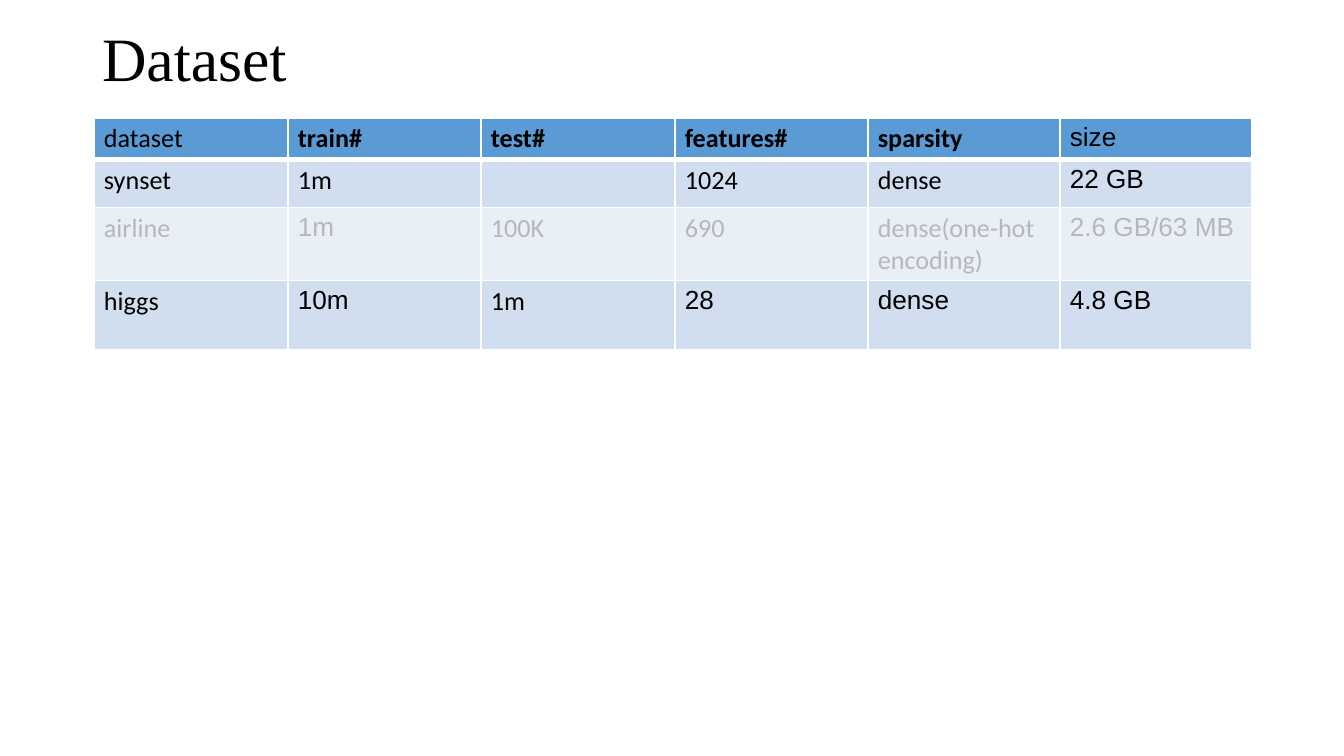
from lxml import etree
from pptx import Presentation
from pptx.dml.color import RGBColor
from pptx.enum.text import MSO_ANCHOR
from pptx.oxml.ns import qn
from pptx.util import Emu, Pt

# Content: each cell is (text, font)
TITLE = "Dataset"
SANS, BODY, SERIF = "Arial", "Calibri", "Times New Roman"
ROWS = [
    [("dataset", BODY), ("train#", BODY), ("test#", BODY),
     ("features#", BODY), ("sparsity", BODY), ("size", SANS)],
    [("synset", BODY), ("1m", BODY), ("", BODY),
     ("1024", BODY), ("dense", BODY), ("22 GB", SANS)],
    [("airline", BODY), ("1m", SANS), ("100K", BODY),
     ("690", BODY), ("dense(one-hot encoding)", BODY), ("2.6 GB/63 MB", SANS)],
    [("higgs", BODY), ("10m", SANS), ("1m", BODY),
     ("28", SANS), ("dense", SANS), ("4.8 GB", SANS)],
]
BOLD_HEADERS = {"train#", "test#", "features#", "sparsity"}
COLORS = {"text": "000000", "muted": "B7B7B7", "header": "5B9BD5",
          "band": "D0DEEF", "light": "E9EFF7", "border": "FFFFFF"}
ROW_STYLES = [("header", "text"), ("band", "text"), ("light", "muted"), ("band", "text")]

# Layout in px
SLIDE_SIZE = (1344, 756)
TITLE_BOX = (92, 17, 1158, 90)
TABLE_LEFT, TABLE_TOP = 94, 118
COLUMN_WIDTHS = [194, 193, 194, 193, 192, 192]
ROW_HEIGHTS = [41, 48, 73, 69]
INSET_X, INSET_Y = 10, 5
TABLE_SIZE = 14


def px(value):
    return Emu(round(value * 914400 / 134.4))


def color(name):
    return RGBColor.from_string(COLORS[name])


def add_text(paragraph, text, font, size, color_name, bold=False):
    run = paragraph.add_run()
    run.text = text
    run.font.name = font
    run.font.size = Pt(size)
    run.font.bold = bold
    run.font.color.rgb = color(color_name)


def set_borders(cell, bottom, top):
    properties = cell._tc.get_or_add_tcPr()
    for index, (side, width) in enumerate((("L", 1), ("R", 1), ("T", top), ("B", bottom))):
        line = etree.Element(qn(f"a:ln{side}"), w=str(Pt(width)))
        fill = etree.SubElement(line, qn("a:solidFill"))
        etree.SubElement(fill, qn("a:srgbClr"), val=COLORS["border"])
        properties.insert(index, line)


presentation = Presentation()
presentation.slide_width, presentation.slide_height = map(px, SLIDE_SIZE)
slide = presentation.slides.add_slide(presentation.slide_layouts[6])

# Title
title_frame = slide.shapes.add_textbox(*map(px, TITLE_BOX)).text_frame
title_frame.word_wrap = True
title_frame.vertical_anchor = MSO_ANCHOR.MIDDLE
title_frame.margin_left = title_frame.margin_right = px(INSET_X)
title_frame.margin_top = title_frame.margin_bottom = px(INSET_Y)
title_frame.paragraphs[0].line_spacing = 0.9
add_text(title_frame.paragraphs[0], TITLE, SERIF, 33, "text")

# Table grid
table = slide.shapes.add_table(
    len(ROWS), len(COLUMN_WIDTHS), px(TABLE_LEFT), px(TABLE_TOP),
    px(sum(COLUMN_WIDTHS)), px(sum(ROW_HEIGHTS))).table
for column, width in zip(table.columns, COLUMN_WIDTHS):
    column.width = px(width)
for row, height in zip(table.rows, ROW_HEIGHTS):
    row.height = px(height)

# Table cells
for row_index, (row, (fill, text_color)) in enumerate(zip(ROWS, ROW_STYLES)):
    for column_index, (text, font) in enumerate(row):
        cell = table.cell(row_index, column_index)
        cell.fill.solid()
        cell.fill.fore_color.rgb = color(fill)
        cell.margin_left = cell.margin_right = px(INSET_X)
        cell.margin_top = cell.margin_bottom = px(INSET_Y)
        set_borders(cell, bottom=3 if row_index == 0 else 1,
                    top=3 if row_index == 1 else 1)
        paragraph = cell.text_frame.paragraphs[0]
        if text:
            add_text(paragraph, text, font, TABLE_SIZE, text_color, text in BOLD_HEADERS)
        else:
            etree.SubElement(paragraph._p, qn("a:endParaRPr"), sz=str(TABLE_SIZE * 100))

presentation.save("out.pptx")
